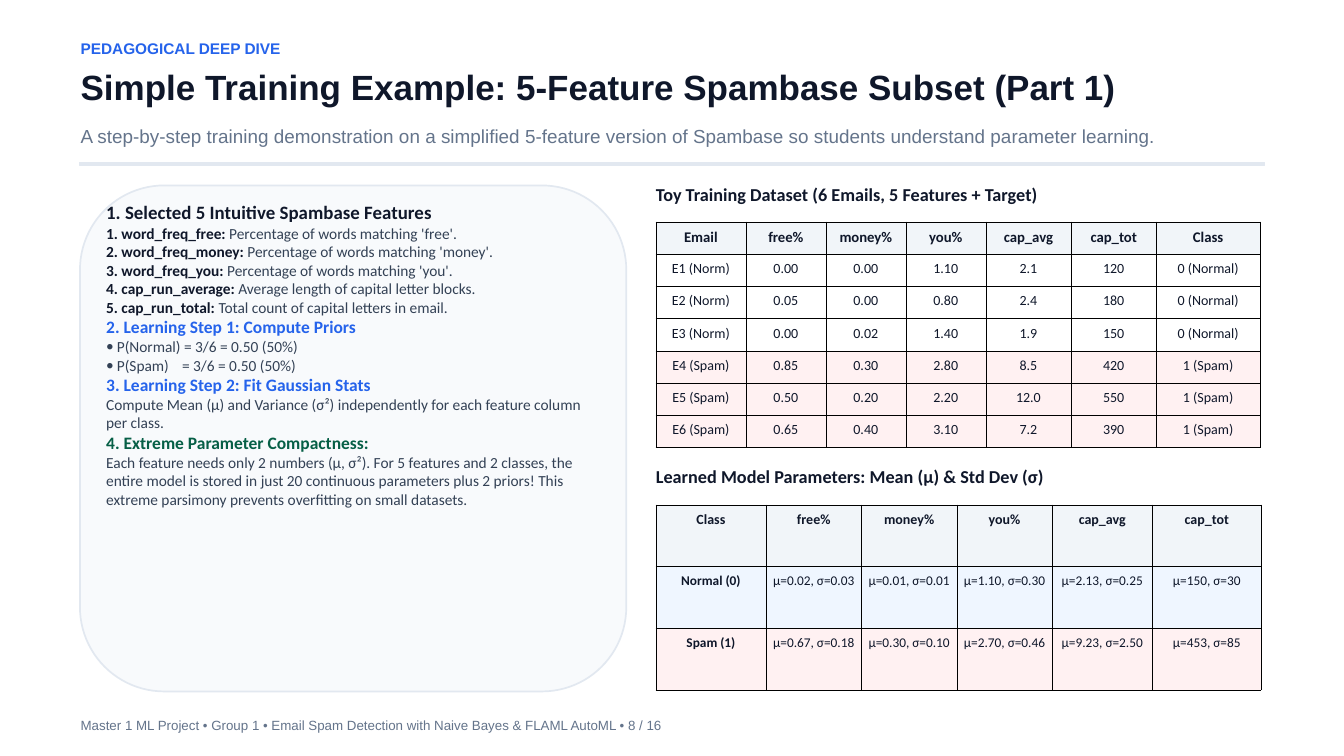
from lxml import etree
from pptx import Presentation
from pptx import util as u
from pptx.dml.color import RGBColor
from pptx.enum import shapes, text
from pptx.oxml import ns

INK = RGBColor(0x0F, 0x17, 0x2A)
BODY = RGBColor(0x33, 0x41, 0x55)
MUTED = RGBColor(0x64, 0x74, 0x8B)
BLUE = RGBColor(0x25, 0x63, 0xEB)
GREEN = RGBColor(0x06, 0x5F, 0x46)
RULE = RGBColor(0xE2, 0xE8, 0xF0)
PANEL = RGBColor(0xF8, 0xFA, 0xFC)
HEADER = RGBColor(0xF1, 0xF5, 0xF9)
NORMAL = RGBColor(0xEF, 0xF6, 0xFF)
SPAM = RGBColor(0xFF, 0xF1, 0xF2)
WHITE = RGBColor(0xFF, 0xFF, 0xFF)

LEFT, WIDTH = 1.2, 17.61
RIGHT_LEFT, RIGHT_WIDTH = 9.76, 9.01
BULLET_INDENT, BULLET_TAB = 0.16, 1.13


class SlideBuilder:
    heading_font = "Arial"
    text_font = "Calibri"
    line_factor = 1.2

    def __init__(self, slide):
        self.slide = slide

    def style(self, paragraph, size, color, bold=False, font=None):
        paragraph.line_spacing = u.Pt(size * self.line_factor)
        paragraph.space_before = paragraph.space_after = u.Pt(0)
        for run in paragraph.runs:
            run.font.name = font or self.text_font
            run.font.size = u.Pt(size)
            run.font.bold = bold
            run.font.color.rgb = color

    def frame(self, shape):
        frame = shape.text_frame
        frame.word_wrap = True
        frame.auto_size = text.MSO_AUTO_SIZE.NONE
        frame.vertical_anchor = text.MSO_ANCHOR.TOP
        frame.margin_left = frame.margin_right = 0
        frame.margin_top = frame.margin_bottom = 0
        return frame

    def place(self, placeholder, left, top, width, height):
        placeholder.left, placeholder.top = u.Inches(left), u.Inches(top)
        placeholder.width, placeholder.height = u.Inches(width), u.Inches(height)
        # Bring to the front of what has been drawn so far
        placeholder.element.getparent().append(placeholder.element)
        return self.frame(placeholder)

    def title(self, words, left, top, width, height, size):
        frame = self.place(self.slide.shapes.title, left, top, width, height)
        frame.text = words
        frame.paragraphs[0].alignment = text.PP_ALIGN.LEFT
        self.style(frame.paragraphs[0], size, INK, True, self.heading_font)

    def label(self, words, left, top, width, height, size, color, bold=False, font=None):
        box = self.slide.shapes.add_textbox(
            u.Inches(left), u.Inches(top), u.Inches(width), u.Inches(height))
        frame = self.frame(box)
        frame.text = words
        self.style(frame.paragraphs[0], size, color, bold, font)

    def block(self, kind, left, top, width, height, fill, line_width):
        shape = self.slide.shapes.add_shape(
            kind, u.Inches(left), u.Inches(top), u.Inches(width), u.Inches(height))
        shape.shadow.inherit = False
        shape.fill.solid()
        shape.fill.fore_color.rgb = fill
        shape.line.color.rgb = RULE
        shape.line.width = u.Pt(line_width)

    def bullet(self, paragraph, shown):
        properties = paragraph._p.get_or_add_pPr()
        indent = u.Inches(BULLET_INDENT) if shown else 0
        properties.set("marL", str(indent))
        properties.set("indent", str(-indent))
        if shown:
            etree.SubElement(properties, ns.qn("a:buFont"), typeface=self.text_font)
            etree.SubElement(properties, ns.qn("a:buChar"), char="•")
            tabs = etree.SubElement(properties, ns.qn("a:tabLst"))
            etree.SubElement(tabs, ns.qn("a:tab"), pos=str(u.Inches(BULLET_TAB)), algn="l")
        else:
            etree.SubElement(properties, ns.qn("a:buNone"))

    def body(self, lines, left, top, width, height):
        frame = self.place(self.slide.placeholders[1], left, top, width, height)
        for index, (kind, words) in enumerate(lines):
            paragraph = frame.paragraphs[0] if index == 0 else frame.add_paragraph()
            self.bullet(paragraph, kind == "bullet")
            if kind == "feature":
                name, meaning = words
                paragraph.text = name + ": "
                paragraph.add_run().text = meaning
            else:
                paragraph.text = words
            self.style(paragraph, *LINE_STYLES[kind])
            if kind == "feature":
                paragraph.runs[0].font.bold = True
                paragraph.runs[0].font.color.rgb = INK

    def border(self, cell):
        properties = cell._tc.get_or_add_tcPr()
        for index, side in enumerate(("lnL", "lnR", "lnT", "lnB")):
            line = etree.Element(ns.qn("a:" + side), w=str(u.Pt(0.37)))
            fill = etree.SubElement(line, ns.qn("a:solidFill"))
            etree.SubElement(fill, ns.qn("a:srgbClr"), val="000000")
            properties.insert(index, line)

    def table(self, rows, fills, widths, top, row_height, header_size, size, bold_first):
        table = self.slide.shapes.add_table(
            len(rows), len(widths), u.Inches(RIGHT_LEFT), u.Inches(top),
            u.Inches(sum(widths)), u.Inches(row_height * len(rows))).table
        table.first_row = table.horz_banding = False
        for column, width in zip(table.columns, widths):
            column.width = u.Inches(width)
        for r, (values, fill) in enumerate(zip(rows, fills)):
            table.rows[r].height = u.Inches(row_height)
            for c, value in enumerate(values):
                cell = table.cell(r, c)
                cell.margin_left = cell.margin_right = u.Inches(0.1)
                cell.margin_top = cell.margin_bottom = u.Inches(0.1)
                cell.fill.solid()
                cell.fill.fore_color.rgb = fill
                self.border(cell)
                paragraph = cell.text_frame.paragraphs[0]
                paragraph.text = value
                paragraph.alignment = text.PP_ALIGN.CENTER
                bold = r == 0 or (bold_first and c == 0)
                self.style(paragraph, header_size if r == 0 else size, INK, bold)


LINE_STYLES = {
    "lead": (20.25, INK, True),
    "step": (18.75, BLUE, True),
    "result": (18.75, GREEN, True),
    "feature": (16.5, BODY),
    "bullet": (16.5, BODY),
    "plain": (16.5, BODY),
}
LINES = [
    ("lead", "1. Selected 5 Intuitive Spambase Features"),
    ("feature", ("1. word_freq_free", "Percentage of words matching 'free'.")),
    ("feature", ("2. word_freq_money", "Percentage of words matching 'money'.")),
    ("feature", ("3. word_freq_you", "Percentage of words matching 'you'.")),
    ("feature", ("4. cap_run_average", "Average length of capital letter blocks.")),
    ("feature", ("5. cap_run_total", "Total count of capital letters in email.")),
    ("step", "2. Learning Step 1: Compute Priors"),
    ("bullet", "P(Normal) = 3/6 = 0.50 (50%)"),
    ("bullet", "P(Spam)\t= 3/6 = 0.50 (50%)"),
    ("step", "3. Learning Step 2: Fit Gaussian Stats"),
    ("plain", "Compute Mean (μ) and Variance (σ²) independently for each feature column per class."),
    ("result", "4. Extreme Parameter Compactness:"),
    ("plain", "Each feature needs only 2 numbers (μ, σ²). For 5 features and 2 classes, the entire "
              "model is stored in just 20 continuous parameters plus 2 priors! This extreme "
              "parsimony prevents overfitting on small datasets."),
]
FEATURES = ["free%", "money%", "you%", "cap_avg", "cap_tot"]
EMAILS = [
    ["Email", *FEATURES, "Class"],
    ["E1 (Norm)", "0.00", "0.00", "1.10", "2.1", "120", "0 (Normal)"],
    ["E2 (Norm)", "0.05", "0.00", "0.80", "2.4", "180", "0 (Normal)"],
    ["E3 (Norm)", "0.00", "0.02", "1.40", "1.9", "150", "0 (Normal)"],
    ["E4 (Spam)", "0.85", "0.30", "2.80", "8.5", "420", "1 (Spam)"],
    ["E5 (Spam)", "0.50", "0.20", "2.20", "12.0", "550", "1 (Spam)"],
    ["E6 (Spam)", "0.65", "0.40", "3.10", "7.2", "390", "1 (Spam)"],
]
PARAMETERS = [
    ["Class", *FEATURES],
    ["Normal (0)", "μ=0.02, σ=0.03", "μ=0.01, σ=0.01", "μ=1.10, σ=0.30", "μ=2.13, σ=0.25", "μ=150, σ=30"],
    ["Spam (1)", "μ=0.67, σ=0.18", "μ=0.30, σ=0.10", "μ=2.70, σ=0.46", "μ=9.23, σ=2.50", "μ=453, σ=85"],
]


def main():
    presentation = Presentation()
    presentation.slide_width, presentation.slide_height = u.Inches(20), u.Inches(11.25)
    slide = presentation.slides.add_slide(presentation.slide_layouts[1])
    slide.background.fill.solid()
    slide.background.fill.fore_color.rgb = WHITE
    builder = SlideBuilder(slide)
    arial = builder.heading_font

    # Header and footer
    builder.label("PEDAGOGICAL DEEP DIVE", LEFT, 0.58, WIDTH, 0.44, 16.5, BLUE, True, arial)
    builder.title("Simple Training Example: 5-Feature Spambase Subset (Part 1)",
                  LEFT, 0.98, WIDTH, 0.87, 37.5)
    builder.label("A step-by-step training demonstration on a simplified 5-feature version of "
                  "Spambase so students understand parameter learning.",
                  LEFT, 1.85, WIDTH, 0.54, 20.25, MUTED, font=arial)
    builder.block(shapes.MSO_SHAPE.RECTANGLE, 1.19, 2.42, 17.63, 0.04, RULE, 1.13)
    builder.label("Master 1 ML Project • Group 1 • Email Spam Detection with Naive Bayes & "
                  "FLAML AutoML • 8 / 16", LEFT, 10.67, WIDTH, 0.25, 14.25, MUTED, font=arial)

    # Explanation panel
    builder.block(shapes.MSO_SHAPE.ROUNDED_RECTANGLE, 1.19, 2.76, 8.13, 7.53, PANEL, 1.8)
    builder.body(LINES, 1.58, 2.99, 7.36, 4.56)

    # Training data
    builder.label("Toy Training Dataset (6 Emails, 5 Features + Target)",
                  RIGHT_LEFT, 2.73, RIGHT_WIDTH, 0.5, 19.5, INK, True)
    builder.table(EMAILS, [HEADER] + [WHITE] * 3 + [SPAM] * 3,
                  [1.34, 1.19, 1.19, 1.19, 1.27, 1.27, 1.54], 3.3, 0.48, 15.75, 15, False)

    # Learned parameters
    builder.label("Learned Model Parameters: Mean (μ) & Std Dev (σ)",
                  RIGHT_LEFT, 6.93, RIGHT_WIDTH, 0.5, 19.5, INK, True)
    builder.table(PARAMETERS, [HEADER, NORMAL, SPAM],
                  [1.64, 1.42, 1.42, 1.42, 1.49, 1.62], 7.51, 0.92, 15, 14.25, True)

    presentation.save("out.pptx")


if __name__ == "__main__":
    main()
